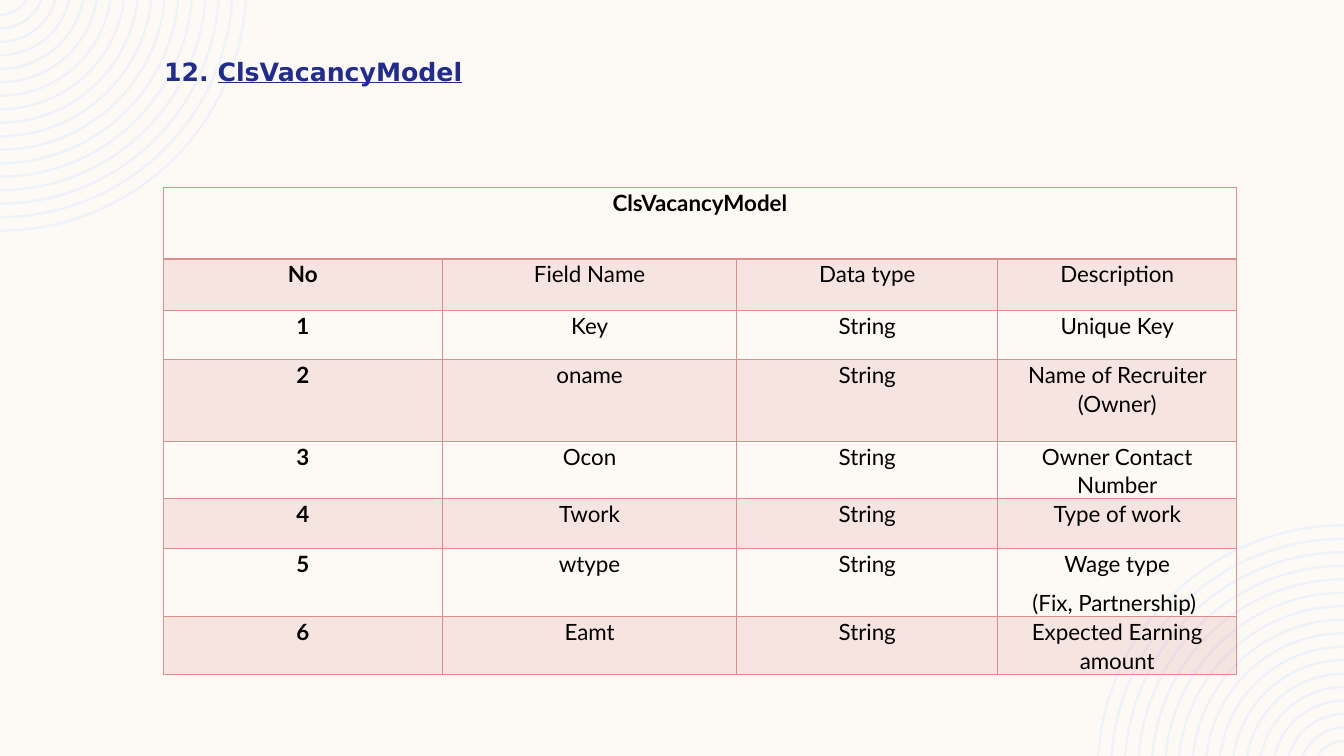
from math import asin, cos, pi, sin, tan

from lxml.etree import SubElement
from pptx import Presentation
from pptx.dml.color import RGBColor
from pptx.enum.text import MSO_AUTO_SIZE, PP_ALIGN
from pptx.oxml import parse_xml
from pptx.oxml.ns import nsdecls, qn
from pptx.util import Pt

WIDTH, HEIGHT = 960, 540
COLORS = {"paper": "FDFAF6", "ring": "EEF3FA", "title": "202C8F",
          "rose": "DE8C8C", "text": "000000"}
COLUMN_WIDTHS = [199.5, 210.2, 186.5, 170.6]
ROW_HEIGHTS = [51, 36.7, 35.3, 58.3, 38.2, 35.3, 48.2, 38.2]
FIELDS = [
    ("No", "Field Name", "Data type", "Description"),
    ("1", "Key", "String", "Unique Key"),
    ("2", "oname", "String", "Name of Recruiter (Owner)"),
    ("3", "Ocon", "String", "Owner Contact Number"),
    ("4", "Twork", "String", "Type of work"),
    ("5", "wtype", "String", "Wage type\n(Fix, Partnership) "),
    ("6", "Eamt", "String", "Expected Earning amount"),
]


class SlideBuilder:
    """Draws the elements of one slide in a shared style."""

    def __init__(self, slide):
        self.slide = slide
        fill = slide.background.fill
        fill.solid()
        fill.fore_color.rgb = self.color("paper")

    def color(self, name):
        return RGBColor.from_string(COLORS[name])

    def rings(self, corner_x, corner_y, direction):
        center, outer, step, thickness, count = 11.2, 176.8, 9.63, 1.75, 17

        def arc(radius):
            start = asin(center / radius)
            handle = radius * 4 / 3 * tan((pi / 2 - start) / 4)
            x, y = radius * cos(start), radius * sin(start) - center
            bottom = radius - center
            points = [(x, y),
                      (x - handle * sin(start), y + handle * cos(start)),
                      (handle, bottom), (0, bottom)]
            return [(Pt(corner_x + direction * px), Pt(corner_y + direction * py))
                    for px, py in points]

        radii = [outer - step * index for index in range(count)]
        contours = [arc(radius) + arc(radius - thickness)[::-1]
                    for radius in radii]
        builder = self.slide.shapes.build_freeform(*contours[0][0])
        for index, contour in enumerate(contours):
            if index:
                builder.move_to(*contour[0])
            builder.add_line_segments(contour[1:], close=True)
        shape = builder.convert_to_shape()
        self.curve(shape)
        shape.shadow.inherit = False
        shape.fill.solid()
        shape.fill.fore_color.rgb = self.color("ring")
        shape.line.fill.background()

    def curve(self, shape):
        for start in list(shape._element.iter(qn("a:moveTo"))):
            lines = list(start.itersiblings())[:7]
            for group in (lines[:3], lines[4:]):
                bezier = parse_xml(f'<a:cubicBezTo {nsdecls("a")}/>')
                group[0].addprevious(bezier)
                for line in group:
                    bezier.append(line[0])
                    line.getparent().remove(line)

    def run(self, paragraph, text, font, size, color, bold, underline=None):
        paragraph.line_spacing = 1.07
        paragraph.space_after = Pt(8)
        run = paragraph.add_run()
        run.text = text
        run.font.name = font
        run.font.size = Pt(size)
        run.font.color.rgb = self.color(color)
        run.font.bold = bold
        run.font.underline = underline

    def title(self, number, name, left, top, width, height):
        shape = self.slide.shapes.add_textbox(
            Pt(left), Pt(top), Pt(width), Pt(height))
        frame = shape.text_frame
        frame.word_wrap = True
        frame.auto_size = MSO_AUTO_SIZE.SHAPE_TO_FIT_TEXT
        paragraph = frame.paragraphs[0]
        self.run(paragraph, number, "DejaVu Sans", 18, "title", True)
        self.run(paragraph, name, "DejaVu Sans", 18, "title", True, True)

    def borders(self, cell, top=1, bottom=1):
        properties = cell._tc.get_or_add_tcPr()
        sides = {"L": 1, "R": 1, "T": top, "B": bottom}
        for position, (side, width) in enumerate(sides.items()):
            properties.insert(position, parse_xml(
                f'<a:ln{side} {nsdecls("a")} w="{Pt(width)}"><a:solidFill>'
                f'<a:srgbClr val="{COLORS["rose"]}"/>'
                f'</a:solidFill></a:ln{side}>'))

    def cell(self, cell, text, bold, shaded):
        cell.margin_left = cell.margin_right = Pt(5.4)
        cell.margin_top = cell.margin_bottom = 0
        if shaded:
            cell.fill.solid()
            cell.fill.fore_color.rgb = self.color("rose")
            tint = cell._tc.tcPr.find(".//" + qn("a:srgbClr"))
            SubElement(tint, qn("a:alpha"), val="20000")
        else:
            cell.fill.background()
        frame = cell.text_frame
        for index, line in enumerate(text.split("\n")):
            paragraph = frame.add_paragraph() if index else frame.paragraphs[0]
            paragraph.alignment = PP_ALIGN.CENTER
            self.run(paragraph, line, "Lato", 16, "text", bold)

    def table(self, heading, fields, left, top):
        table = self.slide.shapes.add_table(
            len(ROW_HEIGHTS), len(COLUMN_WIDTHS), Pt(left), Pt(top),
            Pt(sum(COLUMN_WIDTHS)), Pt(sum(ROW_HEIGHTS))).table
        table.first_row = table.horz_banding = False
        for column, width in zip(table.columns, COLUMN_WIDTHS):
            column.width = Pt(width)
        for row, height in zip(table.rows, ROW_HEIGHTS):
            row.height = Pt(height)
        table.cell(0, 0).merge(table.cell(0, len(COLUMN_WIDTHS) - 1))
        self.cell(table.cell(0, 0), heading, True, False)
        for cell in table.rows[0].cells:
            self.borders(cell, bottom=2)
        for row, values in enumerate(fields, 1):
            for column, text in enumerate(values):
                cell = table.cell(row, column)
                self.cell(cell, text, column == 0, row % 2 == 1)
                self.borders(cell, top=2 if row == 1 else 1)


def main():
    presentation = Presentation()
    presentation.slide_width = Pt(WIDTH)
    presentation.slide_height = Pt(HEIGHT)
    slide = presentation.slides.add_slide(presentation.slide_layouts[6])
    builder = SlideBuilder(slide)
    builder.rings(0, 0, 1)
    builder.rings(WIDTH, HEIGHT, -1)
    builder.title("12. ", "ClsVacancyModel", 110.2, 35.3, 480, 29.5)
    builder.table("ClsVacancyModel", FIELDS, 116.6, 133.9)
    presentation.save("out.pptx")


if __name__ == "__main__":
    main()
